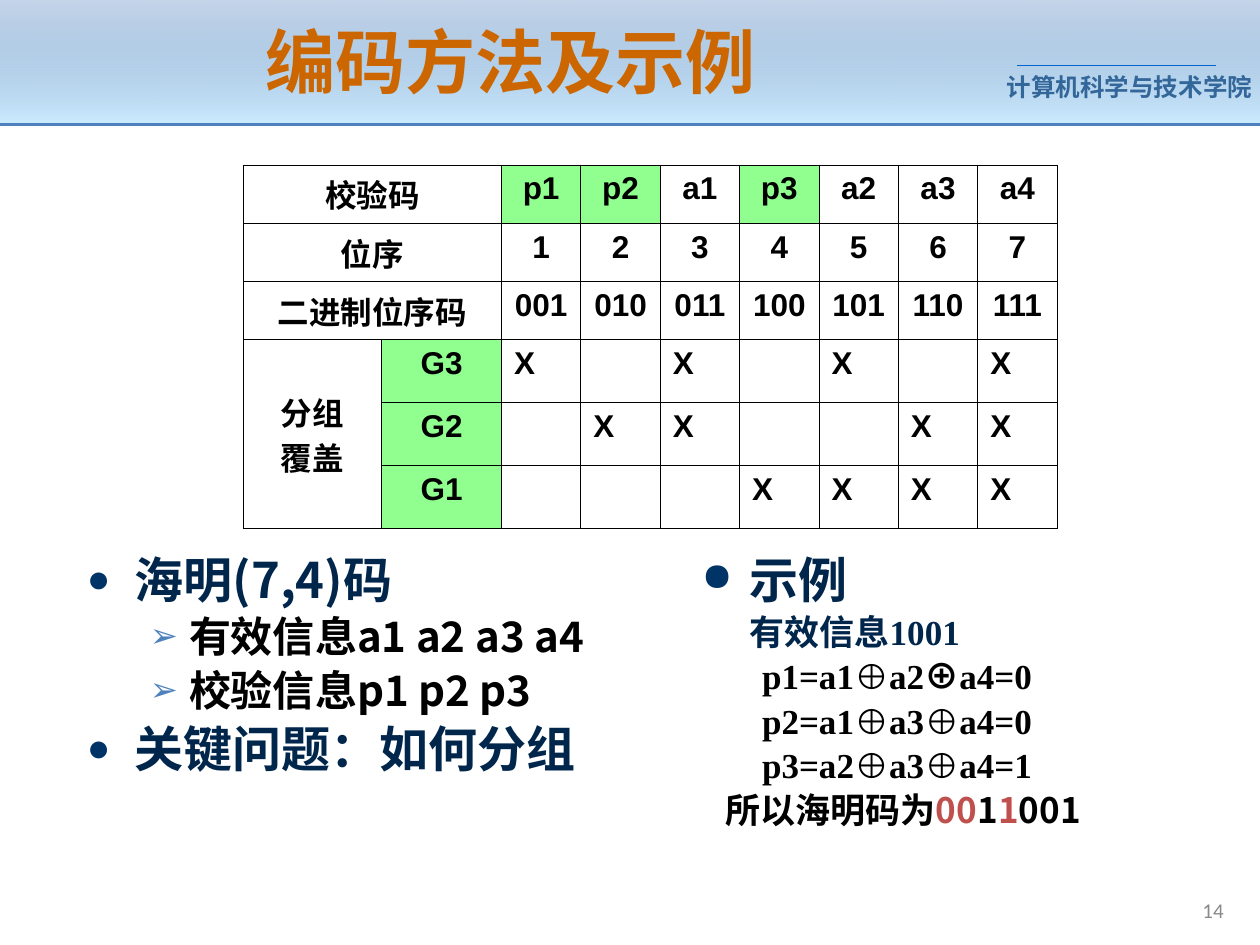
from dataclasses import dataclass

from lxml.etree import SubElement
from pptx import Presentation
from pptx.dml.color import RGBColor
from pptx.enum.shapes import MSO_CONNECTOR, MSO_SHAPE
from pptx.enum.text import MSO_ANCHOR, MSO_AUTO_SIZE, PP_ALIGN
from pptx.oxml.ns import qn
from pptx.util import Inches, Pt


@dataclass(frozen=True)
class Theme:
    # Colours
    title: str = "CC6600"
    navy: str = "00264C"
    bullet: str = "003366"
    blue: str = "4F81BD"
    sky: str = "CCECFF"
    rule: str = "0066CC"
    school: str = "336699"
    grey: str = "898989"
    black: str = "000000"
    red: str = "C0504D"
    green: str = "90FF90"
    # Type sizes
    title_size: int = 40
    head_size: int = 28
    item_size: int = 24
    formula_size: int = 20
    cell_size: int = 18
    school_size: int = 14
    number_size: int = 12
    # Fonts
    chinese: str = "Noto Sans CJK SC"
    sans: str = "Arial"
    serif: str = "Times New Roman"
    number: str = "Calibri"


@dataclass(frozen=True)
class Line:
    """A paragraph: (text, colour, font) runs and its layout in inches and points."""
    runs: tuple
    size: int
    left: float
    first: float = 0
    before: int = 0
    bullet: tuple = ()
    level: int = 0


class SlideBuilder:
    def __init__(self, slide, theme):
        self.slide, self.theme = slide, theme

    def style(self, run, size, colour, font, bold=True):
        run.font.size, run.font.bold, run.font.name = Pt(size), bold, font
        run.font.color.rgb = RGBColor.from_string(colour)
        SubElement(run.font._element, qn("a:ea")).set("typeface", self.theme.chinese)

    def place(self, shape, box):
        shape.left, shape.top, shape.width, shape.height = map(Inches, box)

    def band(self, box):
        shape = self.slide.shapes.add_shape(MSO_SHAPE.RECTANGLE, *map(Inches, box))
        shape.shadow.inherit = False
        shape.line.fill.background()
        shape.fill.gradient()
        shape.fill.gradient_angle = 270
        stops = shape.fill.gradient_stops
        for stop, colour, position in zip(stops, (self.theme.blue, self.theme.sky), (0, 1)):
            stop.color.rgb = RGBColor.from_string(colour)
            stop.position = position
        top_colour = stops[0]._gs.find(qn("a:srgbClr"))
        SubElement(top_colour, qn("a:alpha")).set("val", "32000")

    def rule(self, start, end, y, colour, width):
        line = self.slide.shapes.add_connector(
            MSO_CONNECTOR.STRAIGHT, Inches(start), Inches(y), Inches(end), Inches(y))
        line.line.color.rgb = RGBColor.from_string(colour)
        line.line.width = Pt(width)
        SubElement(line._element.spPr, qn("a:effectLst"))

    def label(self, text, box, size, colour, font, bold, align, inset=0.1):
        shape = self.slide.shapes.add_textbox(*map(Inches, box))
        frame = shape.text_frame
        frame.text = text
        frame.word_wrap = True
        frame.margin_left = frame.margin_right = Inches(inset)
        frame.vertical_anchor = MSO_ANCHOR.MIDDLE
        frame.paragraphs[0].alignment = align
        self.style(frame.paragraphs[0].runs[0], size, colour, font, bold)

    def title(self, text, box):
        shape = self.slide.shapes.title
        self.slide.shapes._spTree.append(shape._element)  # above the band
        self.place(shape, box)
        frame = shape.text_frame
        frame.text = text
        frame.auto_size = MSO_AUTO_SIZE.NONE
        frame.vertical_anchor = MSO_ANCHOR.MIDDLE
        frame.paragraphs[0].alignment = PP_ALIGN.CENTER
        self.style(frame.paragraphs[0].runs[0], self.theme.title_size,
                   self.theme.title, self.theme.chinese)

    def text(self, shape, box, lines):
        self.place(shape, box)
        frame = shape.text_frame
        frame.word_wrap, frame.auto_size = True, MSO_AUTO_SIZE.NONE
        for index, line in enumerate(lines):
            paragraph = frame.add_paragraph() if index else frame.paragraphs[0]
            paragraph.level = line.level
            paragraph.line_spacing = 0.85
            paragraph.space_before = Pt(line.before if index else 0)
            properties = paragraph._p.get_or_add_pPr()
            properties.set("marL", str(Inches(line.left)))
            properties.set("indent", str(Inches(line.first)))
            if line.bullet:
                character, colour = line.bullet
                bullet_colour = SubElement(properties, qn("a:buClr"))
                SubElement(bullet_colour, qn("a:srgbClr")).set("val", colour)
                SubElement(properties, qn("a:buSzPct")).set("val", "80000")
                SubElement(properties, qn("a:buChar")).set("char", character)
            for text, run_colour, font in line.runs:
                run = paragraph.add_run()
                run.text = text
                self.style(run, line.size, run_colour, font)

    def borders(self, cell):
        properties = cell._tc.get_or_add_tcPr()
        for index, side in enumerate(("lnL", "lnR", "lnT", "lnB")):
            border = properties.makeelement(qn(f"a:{side}"), {"w": str(Pt(0.45))})
            fill = SubElement(border, qn("a:solidFill"))
            SubElement(fill, qn("a:srgbClr")).set("val", self.theme.black)
            properties.insert(index, border)

    def table(self, rows, box, widths, heights, merges, green):
        table = self.slide.shapes.add_table(
            len(rows), len(widths), *map(Inches, box)).table
        table.first_row = table.horz_banding = False
        for column, width in zip(table.columns, widths):
            column.width = Inches(width)
        for row, height in zip(table.rows, heights):
            row.height = Inches(height)
        for first, last in merges:
            table.cell(*first).merge(table.cell(*last))
        for r, values in enumerate(rows):
            for c, value in enumerate(values):
                cell = table.cell(r, c)
                if value in green:
                    cell.fill.solid()
                    cell.fill.fore_color.rgb = RGBColor.from_string(self.theme.green)
                else:
                    cell.fill.background()
                self.borders(cell)
                if not value:
                    continue
                cell.text_frame.text = value
                if cell.is_merge_origin and cell.span_height > 1:
                    cell.vertical_anchor = MSO_ANCHOR.MIDDLE
                for paragraph in cell.text_frame.paragraphs:
                    paragraph.alignment = PP_ALIGN.LEFT if value == "X" else PP_ALIGN.CENTER
                    self.style(paragraph.runs[0], self.theme.cell_size,
                               self.theme.black, self.theme.sans)


def main():
    theme = Theme()
    presentation = Presentation()
    presentation.slide_width, presentation.slide_height = Inches(10), Inches(7.5)
    slide = presentation.slides.add_slide(presentation.slide_layouts[1])
    builder = SlideBuilder(slide, theme)

    # Header and page number
    builder.band((0, 0, 10, 0.99))
    builder.label("计算机科学与技术学院", (7.99, 0.52, 1.97, 0.34), theme.school_size,
                  theme.school, theme.sans, True, PP_ALIGN.LEFT, inset=0)
    builder.rule(8.07, 9.65, 0.52, theme.rule, 0.75)
    builder.rule(0, 10, 0.99, theme.blue, 1.5)
    builder.label("14", (7.6, 7.06, 2.21, 0.32), theme.number_size,
                  theme.grey, theme.number, False, PP_ALIGN.RIGHT)
    builder.title("编码方法及示例", (0.43, 0.13, 7.24, 0.7))

    # Parity groups: group Gk covers the positions whose binary digit k is 1
    names = ["p1", "p2", "a1", "p3", "a2", "a3", "a4"]
    positions = range(1, 8)
    rows = [["校验码", "", *names],
            ["位序", "", *map(str, positions)],
            ["二进制位序码", "", *(f"{position:03b}" for position in positions)]]
    for group, bit in (("G3", 1), ("G2", 2), ("G1", 4)):
        rows.append(["分组\n覆盖" if bit == 1 else "", group,
                     *("X" if position & bit else "" for position in positions)])
    merges = [((row, 0), (row, 1)) for row in range(3)] + [((3, 0), (5, 0))]
    builder.table(rows, (1.93, 1.31, 6.46, 2.89), [1.1, 0.95] + [0.63] * 7,
                  [0.46] * 3 + [0.5] * 3, merges, {"p1", "p2", "p3", "G1", "G2", "G3"})

    def head(text):
        return Line(((text, theme.navy, theme.chinese),), theme.head_size, 0.38, -0.38, 7,
                    ("●", theme.bullet))

    def item(text):
        return Line(((text, theme.black, theme.chinese),), theme.item_size, 0.81, -0.31, 6,
                    ("➢", theme.blue), 1)

    def formula(*runs, left=0.48):
        return Line(runs, theme.formula_size, left, before=5)

    # Code and key question
    body = slide.placeholders[1]
    slide.shapes._spTree.append(body._element)
    builder.text(body, (0.59, 4.38, 4.33, 2.12), [
        head("海明(7,4)码"), item("有效信息a1 a2 a3 a4"),
        item("校验信息p1 p2 p3"), head("关键问题：如何分组")])

    # Worked example
    black, red = theme.black, theme.red
    serif, chinese = theme.serif, theme.chinese
    example = slide.shapes.add_textbox(0, 0, 0, 0)
    builder.text(example, (5.47, 4.38, 4.17, 2.58), [
        head("示例"),
        formula(("有效信息1001", theme.navy, serif), left=0.38),
        formula(("p1=a1⊕a2", black, serif), ("⊕", black, chinese), ("a4=0", black, serif)),
        formula(("p2=a1⊕a3⊕a4=0", black, serif)),
        formula(("p3=a2⊕a3⊕a4=1", black, serif)),
        formula(("所以海明码为", black, chinese), ("00", red, chinese), ("1", black, chinese),
                ("1", red, chinese), ("001", black, chinese), left=0.19)])

    presentation.save("out.pptx")


if __name__ == "__main__":
    main()
